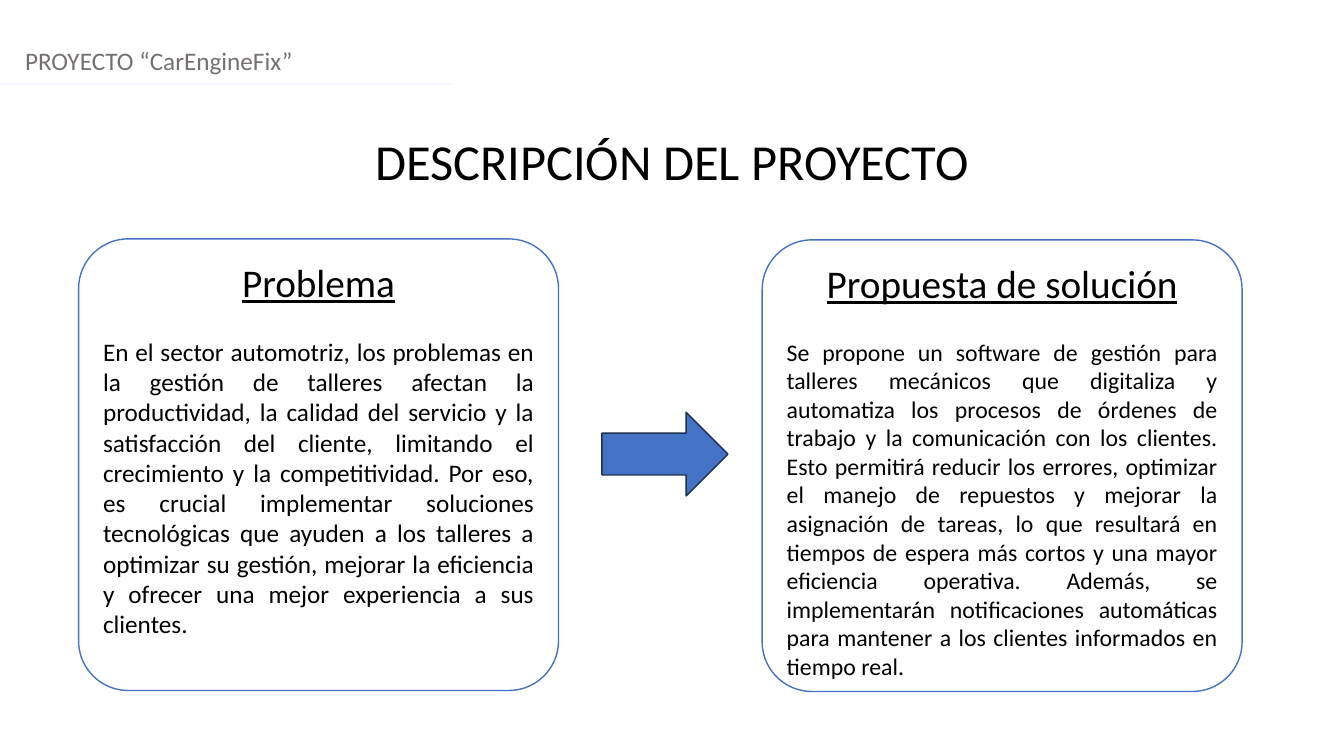
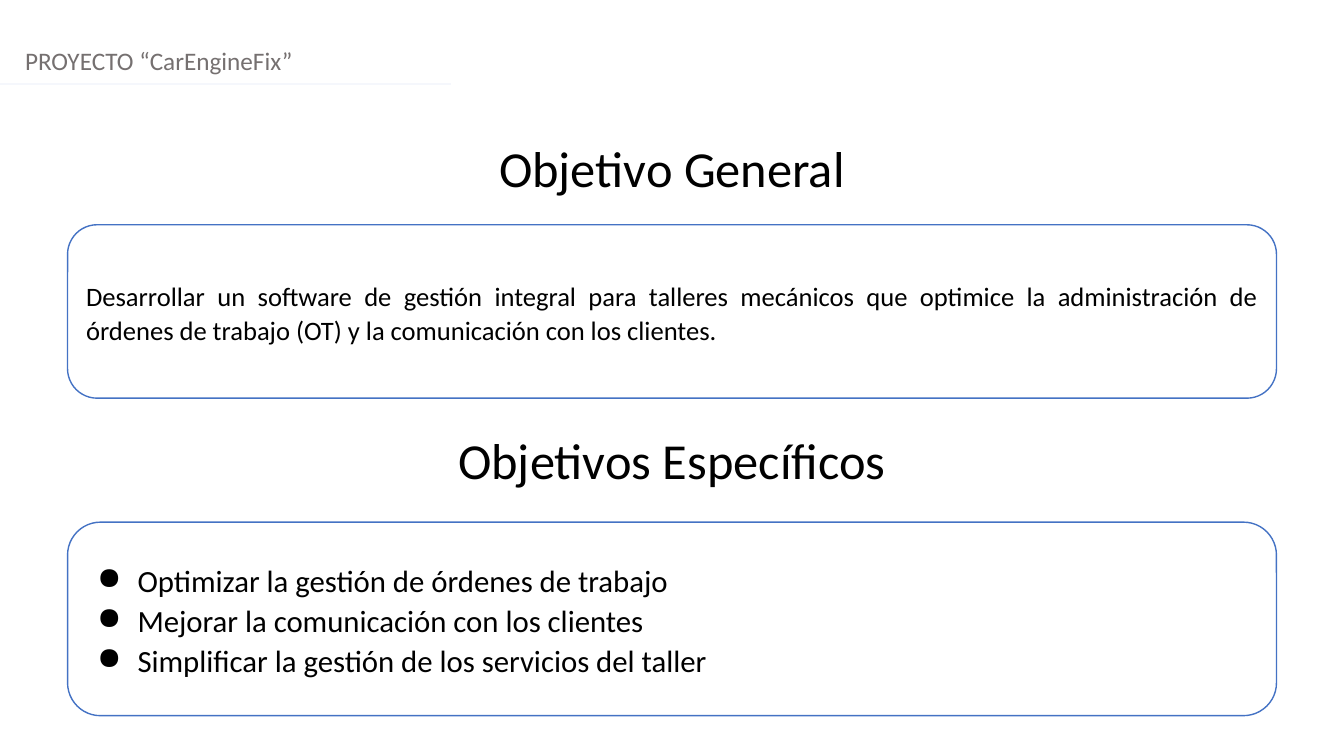
from pptx import Presentation
from pptx.dml.color import RGBColor
from pptx.enum.shapes import MSO_CONNECTOR as Connector, MSO_SHAPE as Shape
from pptx.enum.text import MSO_ANCHOR as Anchor, PP_ALIGN as Align
from pptx.oxml.ns import qn
from pptx.util import Inches, Pt
from lxml.etree import SubElement

WIDTH, HEIGHT = 13.33, 7.5
FONT = "Calibri"
BLACK, GRAY, WHITE = "000000", "757070", "FFFFFF"
BLUE, NAVY, PALE = "4472C4", "1C3052", "F5F7FC"


def color(code):
    return RGBColor.from_string(code)


def add_bullet(para, indent, hanging):
    props = para._p.get_or_add_pPr()
    props.set("marL", str(Inches(indent)))
    props.set("indent", str(-Inches(hanging)))
    bullet_color = SubElement(props, qn("a:buClr"))
    SubElement(bullet_color, qn("a:srgbClr"), val=BLACK)
    SubElement(props, qn("a:buChar"), char="●")


def write(frame, text, size=18, ink=BLACK, align=Align.LEFT, underline=False,
          spacing=None, before=0, after=0, bullet=False):
    para = frame.paragraphs[0]
    if para.runs:
        para = frame.add_paragraph()
    para.alignment = align
    para.space_before, para.space_after = Pt(before), Pt(after)
    if spacing:
        para.line_spacing = spacing
    if bullet:
        add_bullet(para, 0.5, 0.4)
    span = para.add_run()
    span.text = text
    span.font.name, span.font.size = FONT, Pt(size)
    span.font.color.rgb = color(ink)
    span.font.underline = underline


class Deck:
    def __init__(self):
        self.deck = Presentation()
        self.deck.slide_width = Inches(WIDTH)
        self.deck.slide_height = Inches(HEIGHT)
        self.page = None

    def add_page(self):
        self.page = self.deck.slides.add_slide(self.deck.slide_layouts[6])
        self.label("PROYECTO “CarEngineFix”", 0.15, 0.4, 0.4, size=18, ink=GRAY)
        self.rule(0.83, 4.47)

    def label(self, text, left, top, height, **style):
        box = self.page.shapes.add_textbox(
            Inches(left), Inches(top), Inches(WIDTH - left), Inches(height))
        box.text_frame.word_wrap = True
        write(box.text_frame, text, **style)

    def title(self, text, top):
        self.label(text, 0, top, 0.71, size=36, align=Align.CENTER)

    def rule(self, top, length):
        line = self.page.shapes.add_connector(
            Connector.STRAIGHT, 0, Inches(top), Inches(length), Inches(top))
        line.line.color.rgb = color(PALE)
        line.line.width = Pt(1.25)
        SubElement(line._element.spPr, qn("a:effectLst"))

    def shape(self, kind, left, top, width, height, fill, outline):
        shape = self.page.shapes.add_shape(
            kind, Inches(left), Inches(top), Inches(width), Inches(height))
        shape.shadow.inherit = False
        shape.fill.solid()
        shape.fill.fore_color.rgb = color(fill)
        shape.line.color.rgb = color(outline)
        shape.line.width = Pt(1)
        return shape

    def card(self, left, top, width, height, rounding=0.17, anchor=Anchor.MIDDLE):
        card = self.shape(Shape.ROUNDED_RECTANGLE, left, top, width, height, WHITE, BLUE)
        card.adjustments[0] = rounding
        frame = card.text_frame
        frame.word_wrap = True
        frame.vertical_anchor = anchor
        return frame

    def topic_card(self, left, top, heading, body, size):
        frame = self.card(left, top, 4.76, 4.48, rounding=0.11, anchor=Anchor.TOP)
        write(frame, heading, size=28, align=Align.CENTER, underline=True, after=22)
        write(frame, body, size=size, align=Align.JUSTIFY)

    def goal_card(self, top, height):
        return self.card(0.67, top, 11.99, height)

    def arrow(self, left, top, width, height):
        self.shape(Shape.RIGHT_ARROW, left, top, width, height, BLUE, NAVY)

    def save(self):
        self.deck.save("out.pptx")


PROBLEM = (
    "En el sector automotriz, los problemas en la gestión de talleres afectan la "
    "productividad, la calidad del servicio y la satisfacción del cliente, limitando el "
    "crecimiento y la competitividad. Por eso, es crucial implementar soluciones "
    "tecnológicas que ayuden a los talleres a optimizar su gestión, mejorar la eficiencia "
    "y ofrecer una mejor experiencia a sus clientes.")
SOLUTION = (
    "Se propone un software de gestión para talleres mecánicos que digitaliza y automatiza "
    "los procesos de órdenes de trabajo y la comunicación con los clientes. Esto permitirá "
    "reducir los errores, optimizar el manejo de repuestos y mejorar la asignación de "
    "tareas, lo que resultará en tiempos de espera más cortos y una mayor eficiencia "
    "operativa. Además, se implementarán notificaciones automáticas para mantener a los "
    "clientes informados en tiempo real.")
GENERAL_GOAL = (
    "Desarrollar un software de gestión integral para talleres mecánicos que optimice la "
    "administración de órdenes de trabajo (OT) y la comunicación con los clientes.")
SPECIFIC_GOALS = (
    "Optimizar la gestión de órdenes de trabajo",
    "Mejorar la comunicación con los clientes",
    "Simplificar la gestión de los servicios del taller")


def build_description(deck):
    deck.add_page()
    deck.title("DESCRIPCIÓN DEL PROYECTO", 1.24)
    deck.topic_card(0.78, 2.37, "Problema", PROBLEM, 18)
    deck.topic_card(7.56, 2.38, "Propuesta de solución", SOLUTION, 17)
    deck.arrow(5.97, 4.09, 1.25, 0.83)


def build_goals(deck):
    deck.add_page()
    deck.title("Objetivo General", 1.31)
    write(deck.goal_card(2.23, 1.72), GENERAL_GOAL, size=19, align=Align.JUSTIFY,
          spacing=1.08, after=8)
    deck.title("Objetivos Específicos", 4.21)
    frame = deck.goal_card(5.18, 1.92)
    for index, goal in enumerate(SPECIFIC_GOALS):
        write(frame, goal, size=22, align=Align.JUSTIFY, spacing=1.08,
              before=0 if index else 12, bullet=True)


def main():
    deck = Deck()
    build_description(deck)
    build_goals(deck)
    deck.save()


if __name__ == "__main__":
    main()
